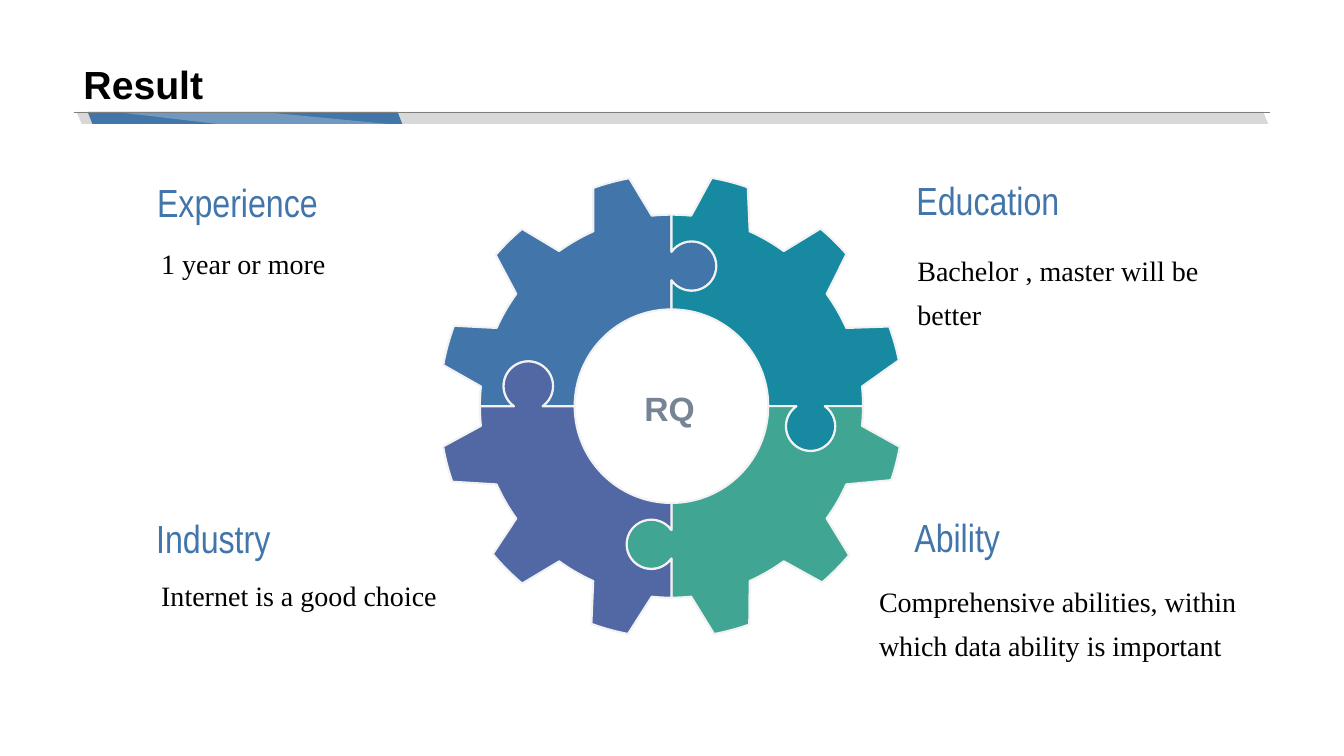
import math

from lxml import etree
from pptx import Presentation
from pptx import util as u
from pptx.dml.color import RGBColor
from pptx.enum import shapes, text
from pptx.oxml import ns

COLORS = {
    "black": "000000", "blue": "4276AA", "teal": "178AA1", "green": "40A693",
    "violet": "5268A5", "edge": "F2F2F2", "hub": "778495",
    "band": "D8D8D8", "rule": "7F7F7F", "white": "FFFFFF",
}
INNER, ROOT, TIP = 0.96, 1.9, 2.3
KNOB_ACROSS, KNOB_RADIUS = 0.2, 0.245
NECK = math.degrees(math.asin(KNOB_ACROSS / KNOB_RADIUS))
PIECES = [
    (270, "blue", 1.39, [(10.2, 20.3), (40.7, 49.9), (70.3, 79.5)]),
    (0, "teal", 1.38, [(10, 19.2), (40, 49), (69.9, 78.6)]),
    (90, "green", 1.37, [(10.1, 18.6), (40, 49.5), (70.4, 79.4)]),
    (180, "violet", 1.42, [(10.8, 20.2), (40.1, 50.4), (71, 80)]),
]
TOPICS = [
    ("Experience", (1.46, 1.75, 2.2, 0.5),
     "1 year or more", (1.5, 2.3, 5.92, 1.11)),
    ("Education", (8.99, 1.73, 2.48, 0.5),
     "Bachelor , master will be better", (9, 2.37, 3.61, 0.95)),
    ("Industry", (1.45, 5.09, 2.21, 0.5),
     "Internet is a good choice", (1.5, 5.59, 5.92, 0.95)),
    ("Ability", (8.97, 5.08, 2.21, 0.5),
     "Comprehensive abilities, within which data ability is important",
     (8.62, 5.65, 4, 0.95)),
]


def rgb(name):
    return RGBColor.from_string(COLORS[name])


def paint(shape, fill, line=None):
    shape.shadow.inherit = False
    shape.fill.solid()
    shape.fill.fore_color.rgb = rgb(fill)
    if line:
        shape.line.color.rgb = rgb(line)
        shape.line.width = u.Pt(1.5)
    else:
        shape.line.fill.background()


def add_text(page, box, words, font, size, color, bold=False, spacing=1.0,
             anchor=text.MSO_ANCHOR.TOP, align=text.PP_ALIGN.LEFT):
    frame = page.shapes.add_textbox(*map(u.Inches, box)).text_frame
    frame.word_wrap = True
    frame.vertical_anchor = anchor
    frame.text = words
    para = frame.paragraphs[0]
    para.alignment = align
    para.line_spacing = spacing
    span = para.runs[0].font
    span.name, span.size, span.bold = font, u.Pt(size), bold
    span.color.rgb = rgb(color)


def add_outline(page, start, segments, fill, line=None):
    ends = [tuple(map(u.Inches, segment[-1])) for segment in segments]
    builder = page.shapes.build_freeform(*map(u.Inches, start))
    builder.add_line_segments(ends, close=True)
    shape = builder.convert_to_shape()
    steps = list(shape.element.iter(ns.qn("a:lnTo")))
    for step, segment in zip(steps, segments):
        if len(segment) == 3:
            step.tag = ns.qn("a:cubicBezTo")
            step.remove(step[0])
            for x, y in segment:
                etree.SubElement(step, ns.qn("a:pt"),
                                 x=str(u.Inches(x) - shape.left),
                                 y=str(u.Inches(y) - shape.top))
    paint(shape, fill, line)
    return shape


def add_header(page, box, title):
    left, top, width, height = box
    bottom = top + height
    strip_top, strip_height = bottom - 0.01, 0.12
    for offset, strip_width, slant, fill in [(0.03, 11.82, 0.424, "band"),
                                             (0.14, 3.12, 0.388, "blue")]:
        strip = page.shapes.add_shape(
            shapes.MSO_SHAPE.PARALLELOGRAM,
            *map(u.Inches, (left + offset, strip_top, strip_width, strip_height)))
        strip.adjustments[0] = slant
        strip.element.spPr.find(ns.qn("a:xfrm")).set("flipH", "1")
        paint(strip, fill)

    strip_bottom = strip_top + strip_height
    gleam = add_outline(page, (left + 3.12, strip_bottom), [
        [(left + 1.87, strip_top)], [(left + 0.41, strip_top)],
        [(left + 1.43, strip_bottom)]], "white")
    tint = gleam.element.spPr.find(ns.qn("a:solidFill"))[0]
    etree.SubElement(tint, ns.qn("a:alpha"), val="25000")

    rule = page.shapes.add_connector(
        shapes.MSO_CONNECTOR.STRAIGHT,
        *map(u.Inches, (left, bottom, left + width, bottom)))
    rule.line.color.rgb = rgb("rule")
    rule.line.width = u.Pt(0.75)
    etree.SubElement(rule.element.spPr, ns.qn("a:effectLst"))

    add_text(page, box, title, "Arial", 28, "black", bold=True, spacing=0.9,
             anchor=text.MSO_ANCHOR.BOTTOM)


def add_topic(page, heading, heading_box, detail, detail_box):
    add_text(page, heading_box, heading, "Arial Narrow", 28, "blue",
             anchor=text.MSO_ANCHOR.MIDDLE)
    add_text(page, detail_box, detail, "Times New Roman", 20, "black", spacing=1.3)


def polar(center, angle, radius):
    turn = math.radians(angle)
    return center[0] + radius * math.sin(turn), center[1] - radius * math.cos(turn)


def arc(center, radius, begin, finish, count=1):
    sweep = (finish - begin) / count
    handle = 4 / 3 * math.tan(math.radians(sweep) / 4) * radius
    curves = []
    for index in range(count):
        first = begin + index * sweep
        last = first + sweep
        curves.append([
            polar(polar(center, first, radius), first + 90, handle),
            polar(polar(center, last, radius), last - 90, handle),
            polar(center, last, radius)])
    return curves


def knob(center, angle, along, inward):
    middle = polar(polar(center, angle, along), angle + 90, KNOB_ACROSS)
    outer, inner = angle - NECK, angle + 180 + NECK
    begin, finish = (outer, inner) if inward else (inner, outer)
    return [[polar(middle, begin, KNOB_RADIUS)],
            *arc(middle, KNOB_RADIUS, begin, finish, 4)]


def rim(center, start, tips):
    segments = [[polar(center, start, ROOT)]]
    reached = start
    for index, (rise, fall) in enumerate(tips):
        middle = start + 15 + 30 * index
        segments += arc(center, ROOT, reached, middle - 9.1)
        segments.append([polar(center, start + rise, TIP)])
        segments += arc(center, TIP, start + rise, start + fall)
        reached = middle + 9.1
        segments.append([polar(center, reached, ROOT)])
    return segments + arc(center, ROOT, reached, start + 90)


def add_gear(page, box, label):
    left, top, width, height = box
    center = (left + width / 2, top + height / 2)
    for index, (start, fill, along, tips) in enumerate(PIECES):
        end = start + 90
        segments = (knob(center, start, PIECES[index - 1][2], False)
                    + rim(center, start, tips)
                    + knob(center, end, along, True)
                    + [[polar(center, end, INNER)]]
                    + arc(center, INNER, end, start))
        add_outline(page, polar(center, start, INNER), segments, fill, "edge")
    add_text(page, (center[0] - 0.93, center[1] - 0.23, 1.82, 0.5), label,
             "Arial", 24, "hub", bold=True, anchor=text.MSO_ANCHOR.MIDDLE,
             align=text.PP_ALIGN.CENTER)


def main():
    deck = Presentation()
    deck.slide_width, deck.slide_height = u.Inches(13.33), u.Inches(7.5)
    page = deck.slides.add_slide(deck.slide_layouts[6])
    add_header(page, (0.73, 0, 11.87, 1.12), "Result")
    for topic in TOPICS:
        add_topic(page, *topic)
    add_gear(page, (4.36, 1.73, 4.6, 4.6), "RQ")
    deck.save("out.pptx")


if __name__ == "__main__":
    main()
